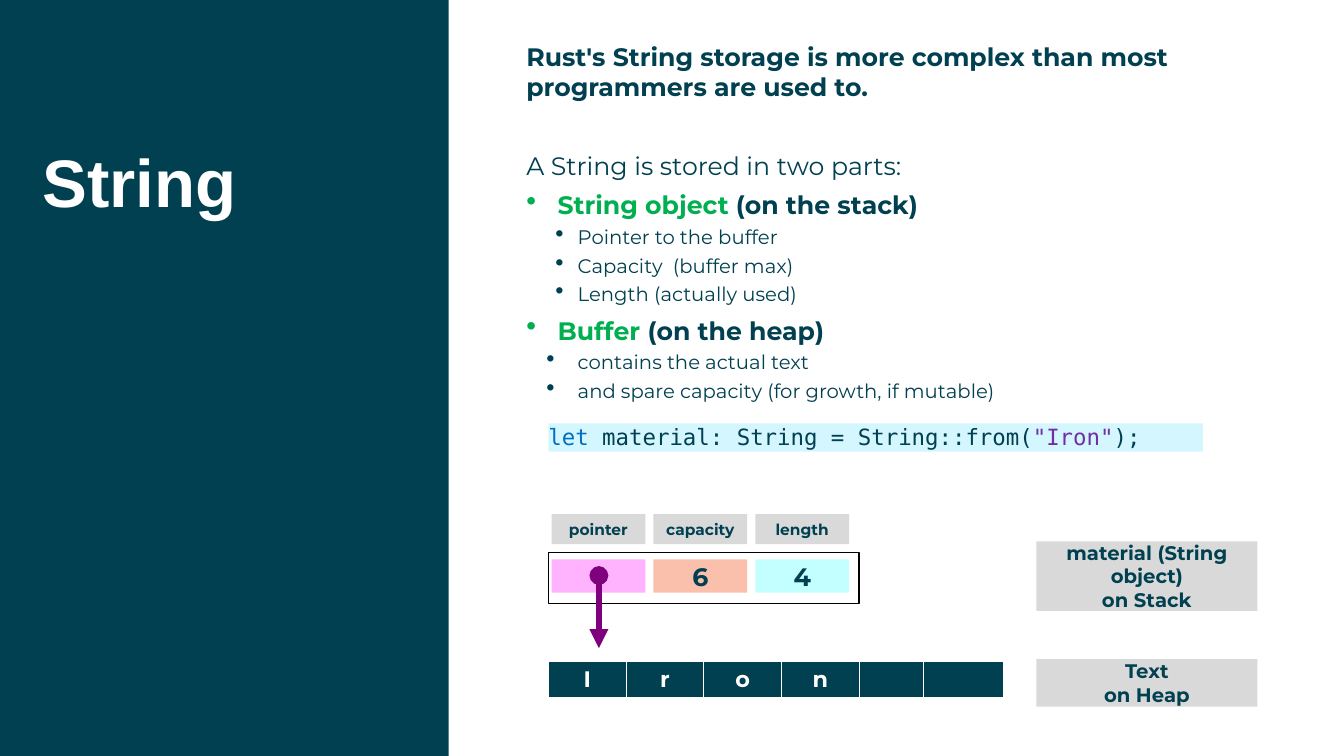
from pptx import Presentation, util as u
from pptx.dml.color import RGBColor
from pptx.enum import shapes, text
from pptx.oxml import parse_xml
from pptx.oxml.ns import nsdecls, qn

WIDTH, HEIGHT = u.Inches(13.33), u.Inches(7.5)
DARK, WHITE, GREY, GREEN = "004050", "FFFFFF", "D9D9D9", "00B050"
SANS, MONO = "Montserrat", "DejaVu Sans Mono"
LEFT, NOTE_LEFT, NOTE_WIDTH = 40.81, 77.12, 16.43
FIELD_LEFT, FIELD_PITCH, FIELD_WIDTH = 41.04, 7.58, 6.98
FIELDS = [("pointer", "", "FFB2FE"), ("capacity", "6", "FAC0AB"), ("length", "4", "C4FFFF")]
BUFFER = zip("Iron  ", [5.78] * 4 + [4.8, 5.93])
POINTS = [
    ("String object ", "(on the stack)", 0.22,
     ["Pointer to the buffer", "Capacity  (buffer max)", "Length (actually used)"]),
    ("Buffer", " (on the heap)", 0.31,
     ["contains the actual text", "and spare capacity (for growth, if mutable)"]),
]


def color(code):
    """Turn a hex string into a colour."""
    return RGBColor.from_string(code)


def across(percent):
    """Convert a percentage of the slide width to a length."""
    return round(WIDTH * percent / 100)


def down(percent):
    """Convert a percentage of the slide height to a length."""
    return round(HEIGHT * percent / 100)


def place(left, top, width, height):
    """Convert a box in slide percentages to lengths."""
    return across(left), down(top), across(width), down(height)


def write(paragraph, parts, size, bold=False, name=SANS):
    """Write (text, colour) parts into a paragraph."""
    for words, code in parts:
        run = paragraph.add_run()
        run.text = words
        run.font.size, run.font.bold, run.font.name = u.Pt(size), bold, name
        run.font.color.rgb = color(code)


def clear_margins(frame):
    """Wrap the text and remove all insets."""
    frame.word_wrap = True
    frame.margin_left = frame.margin_top = frame.margin_right = frame.margin_bottom = 0


def add_box(slide, box, fill=None, line=None):
    """Add a plain rectangle."""
    shape = slide.shapes.add_shape(shapes.MSO_SHAPE.RECTANGLE, *place(*box))
    shape.shadow.inherit = False
    if fill:
        shape.fill.solid()
        shape.fill.fore_color.rgb = color(fill)
    else:
        shape.fill.background()
    if line:
        shape.line.color.rgb = color(line)
        shape.line.width = u.Pt(1)
    else:
        shape.line.fill.background()
    return shape


def add_label(slide, box, lines, size, fill=GREY):
    """Add a filled rectangle with centred bold lines."""
    frame = add_box(slide, box, fill).text_frame
    frame.word_wrap = True
    frame.vertical_anchor = text.MSO_ANCHOR.MIDDLE
    for index, line in enumerate(lines):
        paragraph = frame.add_paragraph() if index else frame.paragraphs[0]
        paragraph.alignment = text.PP_ALIGN.CENTER
        write(paragraph, [(line, DARK)], size, True)


def add_text(slide, box):
    """Add a text box without insets and return its frame."""
    frame = slide.shapes.add_textbox(*place(*box)).text_frame
    clear_margins(frame)
    return frame


def add_bullet(frame, indent, hanging, percent):
    """Add a bulleted paragraph."""
    paragraph = frame.add_paragraph()
    paragraph.space_after = u.Pt(6.5)
    properties = paragraph._p.get_or_add_pPr()
    properties.set("marL", str(u.Inches(indent)))
    properties.set("indent", str(-u.Inches(hanging)))
    properties.append(parse_xml(f'<a:buSzPct {nsdecls("a")} val="{percent * 1000}"/>'))
    properties.append(parse_xml(f'<a:buChar {nsdecls("a")} char="•"/>'))
    return paragraph


def add_explanation(slide):
    """Add the headline and the bulleted explanation."""
    frame = add_text(slide, (39.16, 5.47, 57.76, 59.73))
    headline = frame.paragraphs[0]
    headline.space_after = u.Pt(34.5)
    write(headline, [("Rust's String storage is more complex than most "
                      "programmers are used to.", DARK)], 18, True)
    intro = frame.add_paragraph()
    intro.space_after = u.Pt(6.5)
    write(intro, [("A String is stored in two parts:", DARK)], 18)
    for term, location, hanging, details in POINTS:
        write(add_bullet(frame, 0.31, 0.31, 115), [(term, GREEN), (location, DARK)], 18, True)
        for detail in details:
            paragraph = add_bullet(frame, 0.51, hanging, 125)
            paragraph.level = 1
            paragraph.line_spacing = u.Pt(14)
            write(paragraph, [(detail, DARK)], 14)


def add_code(slide):
    """Add the highlighted line of code."""
    frame = add_box(slide, (LEFT, 56, 48.69, 3.73), "D4F6FF").text_frame
    clear_margins(frame)
    frame.vertical_anchor = text.MSO_ANCHOR.TOP
    frame.paragraphs[0].alignment = text.PP_ALIGN.LEFT
    write(frame.paragraphs[0], [("let", "0070C0"), (" material: String = String::from(", DARK),
                                ('"Iron"', "7030A0"), (");", DARK)], 16, name=MONO)


def add_buffer(slide):
    """Add the table of buffer characters."""
    letters, widths = zip(*BUFFER)
    box = place(LEFT, 87.47, sum(widths), 4.93)
    table = slide.shapes.add_table(1, len(letters), *box).table
    table.first_row = table.horz_banding = False
    for column, width, letter, cell in zip(table.columns, widths, letters, table.rows[0].cells):
        column.width = across(width)
        cell.margin_top = cell.margin_bottom = u.Inches(0.02)
        cell.vertical_anchor = text.MSO_ANCHOR.MIDDLE
        properties = cell._tc.get_or_add_tcPr()
        for side, points in zip("LRTB", (1, 1, 1, 3)):
            properties.append(parse_xml(
                f'<a:ln{side} {nsdecls("a")} w="{u.Pt(points)}"><a:solidFill>'
                f'<a:srgbClr val="{WHITE}"/></a:solidFill></a:ln{side}>'))
        cell.fill.solid()
        cell.fill.fore_color.rgb = color(DARK)
        if letter.strip():
            paragraph = cell.text_frame.paragraphs[0]
            paragraph.alignment = text.PP_ALIGN.CENTER
            write(paragraph, [(letter, WHITE)], 16, True)


def add_pointer_arrow(slide):
    """Add the arrow from the pointer field to the buffer."""
    arrow = slide.shapes.add_connector(shapes.MSO_CONNECTOR.STRAIGHT, across(44.56), down(76.13),
                                       across(44.56), down(85.73))
    arrow.line.color.rgb = color("7F007D")
    arrow.line.width = u.Pt(4.5)
    line = arrow.line._get_or_add_ln()
    for end, kind in (("headEnd", "oval"), ("tailEnd", "triangle")):
        line.append(parse_xml(f'<a:{end} {nsdecls("a")} type="{kind}"/>'))
    properties = arrow._element.find(qn("p:spPr"))
    properties.append(parse_xml(f'<a:effectLst {nsdecls("a")}/>'))


def main():
    """Build the slide and save it."""
    presentation = Presentation()
    presentation.slide_width, presentation.slide_height = WIDTH, HEIGHT
    slide = presentation.slides.add_slide(presentation.slide_layouts[6])
    add_box(slide, (0, 0, 33.38, 100), DARK)
    title = add_text(slide, (3.15, 19.73, 28.28, 40.13)).paragraphs[0]
    title.line_spacing = 0.9
    write(title, [("String", WHITE)], 48, True, "Arial")
    add_explanation(slide)
    add_code(slide)
    for index, (name, value, fill) in enumerate(FIELDS):
        left = FIELD_LEFT + index * FIELD_PITCH
        add_label(slide, (left, 68, FIELD_WIDTH, 4), [name], 11)
        add_label(slide, (left, 74, FIELD_WIDTH, 4.4), [value] if value else [], 18, fill)
    add_box(slide, (LEFT, 73.07, 23.11, 6.8), line="000000")
    add_buffer(slide)
    add_pointer_arrow(slide)
    add_label(slide, (NOTE_LEFT, 71.6, NOTE_WIDTH, 9.2), ["material (String object)", "on Stack"], 14)
    add_label(slide, (NOTE_LEFT, 87.2, NOTE_WIDTH, 6.27), ["Text", "on Heap"], 14)
    presentation.save("out.pptx")


if __name__ == "__main__":
    main()
